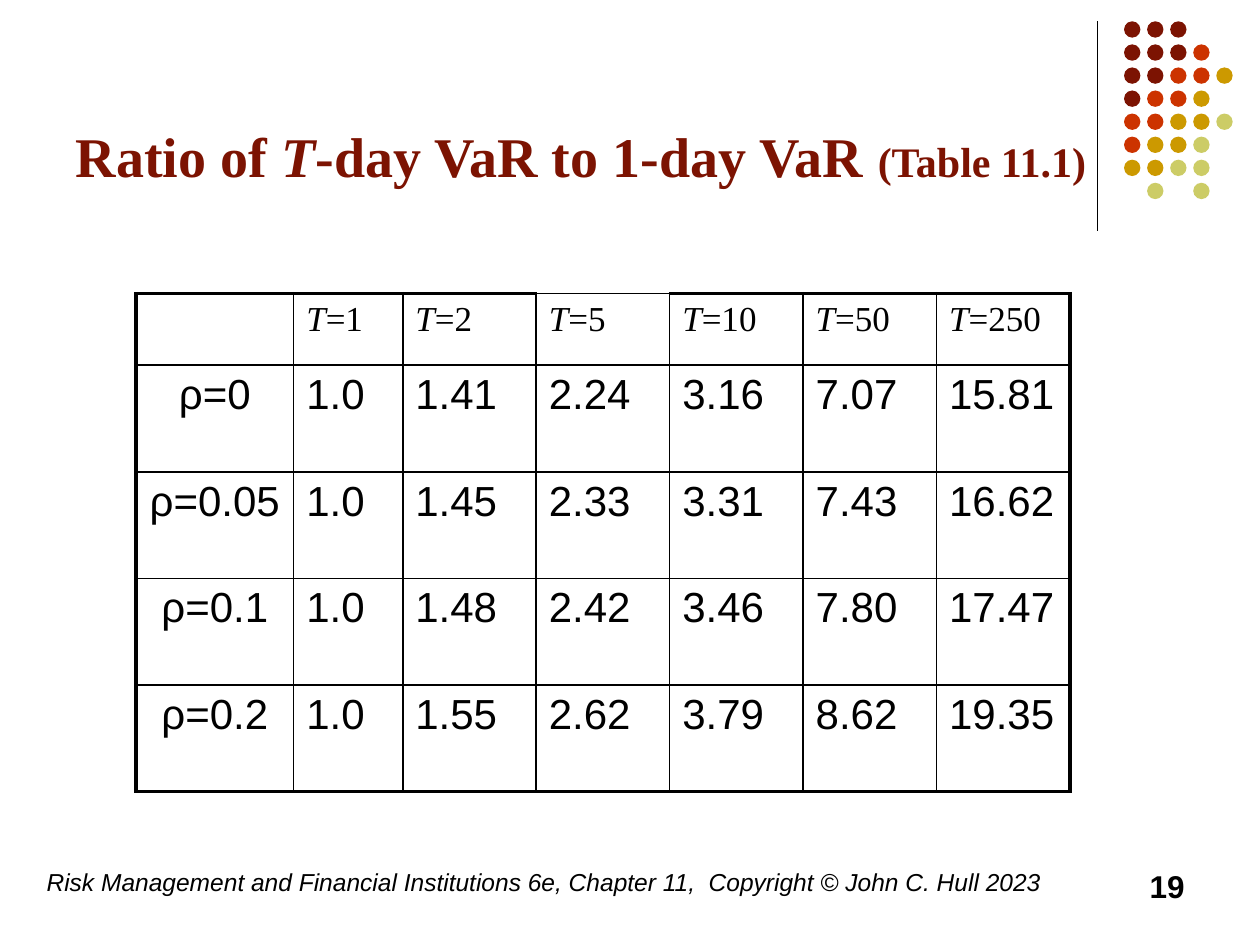
from lxml import etree
from pptx import Presentation
from pptx import util as u
from pptx.dml.color import RGBColor
from pptx.enum import shapes, text
from pptx.oxml.ns import qn

COLORS = {"black": "000000", "maroon": "7C1302", "red": "CC3300",
          "gold": "CC9900", "olive": "CCCC66"}

TITLE = [("Ratio of ", 32, False), ("T", 32, True),
         ("-day VaR to 1-day VaR ", 32, False), ("(Table 11.1)", 24, False)]
FOOTER = ("Risk Management and Financial Institutions 6e, Chapter 11,  "
          "Copyright © John C. Hull 2023")
PAGE_NUMBER = "19"

HORIZONS = [1, 2, 5, 10, 50, 250]
RATIOS = [
    ("ρ=0", "1.0", "1.41", "2.24", "3.16", "7.07", "15.81"),
    ("ρ=0.05", "1.0", "1.45", "2.33", "3.31", "7.43", "16.62"),
    ("ρ=0.1", "1.0", "1.48", "2.42", "3.46", "7.80", "17.47"),
    ("ρ=0.2", "1.0", "1.55", "2.62", "3.79", "8.62", "19.35"),
]
COLUMN_WIDTHS = [3.18, 2.2] + [2.69] * 5
ROW_HEIGHTS = [1.44] + [2.15] * 4
THIN, THICK = 1, 2.25
THIN_TOP_COLUMN = HORIZONS.index(5) + 1

# One letter per dot, a dot (.) for a gap
DOT_ROWS = ["mmm", "mmmr", "mmrrg", "mrrg", "rrggo", "rggo", "ggoo", ".o.o"]
DOT_COLORS = {"m": "maroon", "r": "red", "g": "gold", "o": "olive"}
DOT_LEFT, DOT_TOP, DOT_PITCH, DOT_SIZE = 22.66, 0.43, 0.465, 0.33


def rgb(name):
    return RGBColor.from_string(COLORS[name])


def format_run(run, size, font="Arial", color="black", bold=False, italic=False):
    run.font.size = u.Pt(size)
    run.font.name = font
    run.font.color.rgb = rgb(color)
    run.font.bold = bold
    run.font.italic = italic


def add_run(paragraph, wording, size, **style):
    run = paragraph.add_run()
    run.text = wording
    format_run(run, size, **style)


def add_label(slide, box, wording, size, alignment, **style):
    frame = slide.shapes.add_textbox(*map(u.Cm, box)).text_frame
    frame.word_wrap = True
    frame.text = wording
    frame.paragraphs[0].alignment = alignment
    format_run(frame.paragraphs[0].runs[0], size, **style)


def add_dots(slide):
    group = slide.shapes.add_group_shape()
    for row, letters in enumerate(DOT_ROWS):
        for column, letter in enumerate(letters):
            if letter == ".":
                continue
            dot = group.shapes.add_shape(
                shapes.MSO_SHAPE.OVAL,
                u.Cm(DOT_LEFT + column * DOT_PITCH), u.Cm(DOT_TOP + row * DOT_PITCH),
                u.Cm(DOT_SIZE), u.Cm(DOT_SIZE))
            dot.shadow.inherit = False
            dot.fill.solid()
            dot.fill.fore_color.rgb = rgb(DOT_COLORS[letter])
            dot.line.fill.background()


def add_divider(slide):
    line = slide.shapes.add_connector(
        shapes.MSO_CONNECTOR.STRAIGHT, *map(u.Cm, (22.12, 0.43, 22.12, 4.65)))
    line.line.color.rgb = rgb("black")
    line.line.width = u.Pt(0.75)
    etree.SubElement(line._element.spPr, qn("a:effectLst"))


def set_borders(cell, widths):
    """Draw the left, right, top and bottom borders, with widths in points."""
    properties = cell._tc.get_or_add_tcPr()
    for position, (side, width) in enumerate(zip("LRTB", widths)):
        border = etree.Element(qn(f"a:ln{side}"), w=str(int(u.Pt(width))))
        fill = etree.SubElement(border, qn("a:solidFill"))
        etree.SubElement(fill, qn("a:srgbClr"), val=COLORS["black"])
        properties.insert(position, border)


def fill_cell(cell, row, column):
    paragraph = cell.text_frame.paragraphs[0]
    if row:
        add_run(paragraph, RATIOS[row - 1][column], 24)
        if column == 0:
            paragraph.alignment = text.PP_ALIGN.CENTER
    elif column:
        add_run(paragraph, "T", 20, font="Times New Roman", italic=True)
        add_run(paragraph, f"={HORIZONS[column - 1]}", 20, font="Times New Roman")


def add_ratio_table(slide):
    row_count, column_count = len(ROW_HEIGHTS), len(COLUMN_WIDTHS)
    table = slide.shapes.add_table(
        row_count, column_count, u.Cm(2.74), u.Cm(5.92),
        u.Cm(sum(COLUMN_WIDTHS)), u.Cm(sum(ROW_HEIGHTS))).table
    table.first_row = table.horz_banding = False
    for column, width in zip(table.columns, COLUMN_WIDTHS):
        column.width = u.Cm(width)
    for row, height in zip(table.rows, ROW_HEIGHTS):
        row.height = u.Cm(height)
    for row in range(row_count):
        for column in range(column_count):
            cell = table.cell(row, column)
            cell.fill.background()
            fill_cell(cell, row, column)
            outer = (column == 0, column == column_count - 1,
                     row == 0 and column != THIN_TOP_COLUMN, row == row_count - 1)
            set_borders(cell, [THICK if edge else THIN for edge in outer])


def add_title(slide):
    title = slide.shapes.title
    title.left, title.top, title.width, title.height = map(
        u.Cm, (1.27, 0.33, 20.96, 3.61))
    frame = title.text_frame
    frame.vertical_anchor = text.MSO_ANCHOR.BOTTOM
    frame.auto_size = text.MSO_AUTO_SIZE.NONE
    paragraph = frame.paragraphs[0]
    paragraph.alignment = text.PP_ALIGN.LEFT
    for wording, size, italic in TITLE:
        add_run(paragraph, wording, size, font="Times New Roman",
                color="maroon", bold=True, italic=italic)


def main():
    presentation = Presentation()
    presentation.slide_width, presentation.slide_height = u.Cm(25.4), u.Cm(19.05)
    slide = presentation.slides.add_slide(presentation.slide_layouts[5])
    add_divider(slide)
    add_dots(slide)
    add_title(slide)
    add_label(slide, (0.69, 17.35, 21, 1.27), FOOTER, 14,
              text.PP_ALIGN.LEFT, italic=True)
    add_ratio_table(slide)
    add_label(slide, (18.21, 17.35, 5.92, 1.27), PAGE_NUMBER, 18,
              text.PP_ALIGN.RIGHT, bold=True)
    presentation.save("out.pptx")


if __name__ == "__main__":
    main()
